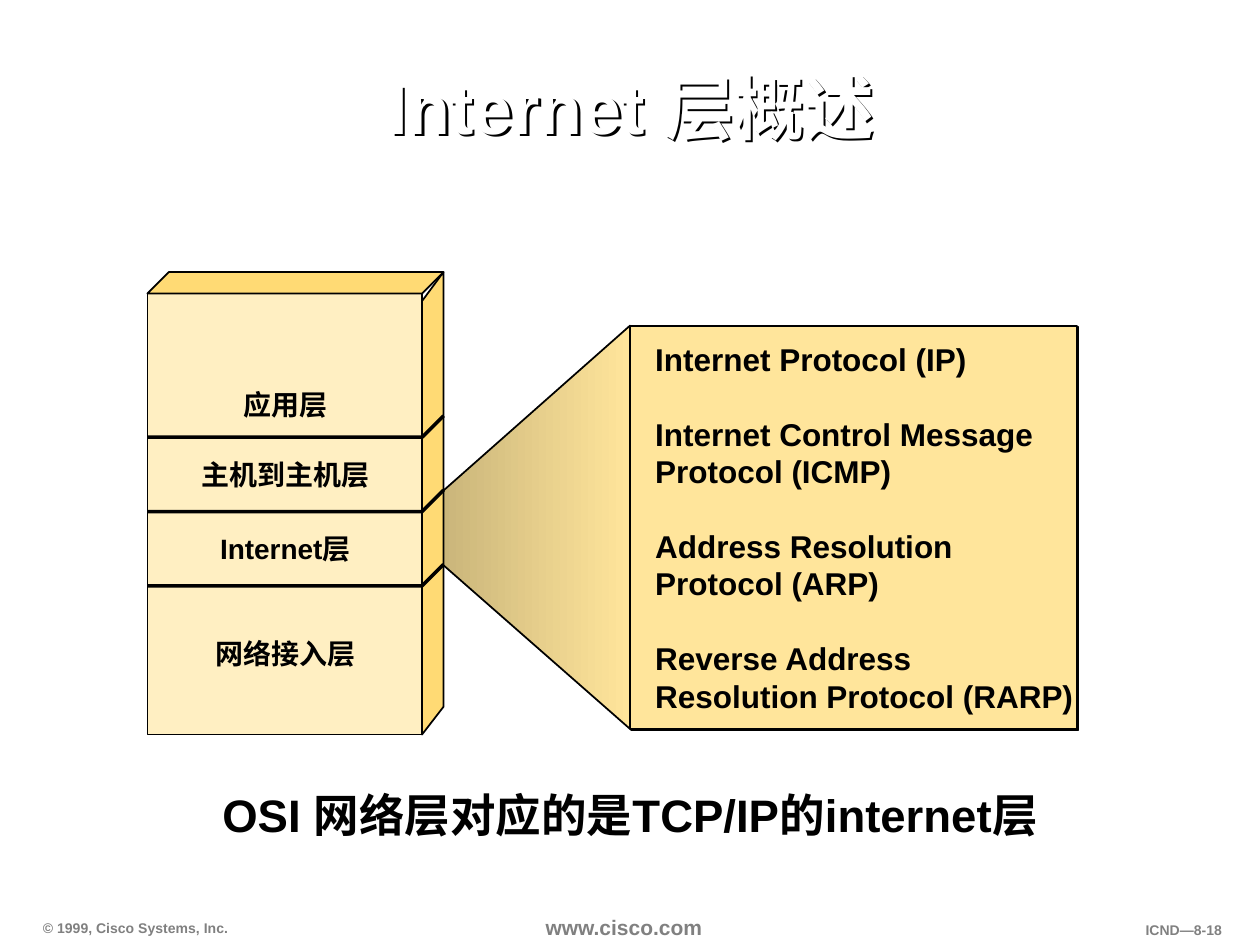
import pptx
import pptx.util
import pptx.dml.color
import pptx.enum.shapes
import pptx.enum.text
from lxml import etree
from dataclasses import dataclass

Align = pptx.enum.text.PP_ALIGN
Anchor = pptx.enum.text.MSO_ANCHOR
DRAWING = "http://schemas.openxmlformats.org/drawingml/2006/main"


@dataclass(frozen=True)
class Theme:
    font: str = "Arial"
    ink: str = "000000"
    white: str = "FFFFFF"
    grey: str = "808080"
    front: str = "FFEFC2"
    side: str = "FFDA74"
    panel: str = "FFE59B"
    funnel_dark: str = "C0AC74"
    title: int = 40
    summary: int = 26
    protocol: int = 18
    layer: int = 16
    site: int = 12
    footer: int = 8
    outline: int = 1
    divider: int = 2


THEME = Theme()

# Content
TITLE = "Internet 层概述"
SUMMARY = "OSI 网络层对应的是TCP/IP的internet层"
LAYERS = [("应用层", 3.05), ("主机到主机层", 3.6), ("Internet层", 4.19), ("网络接入层", 5.02)]
PROTOCOLS = [
    ["Internet Protocol (IP)"],
    ["Internet Control Message", "Protocol (ICMP)"],
    ["Address Resolution", "Protocol (ARP)"],
    ["Reverse Address", "Resolution Protocol (RARP)"],
]
COPYRIGHT = "© 1999, Cisco Systems, Inc."
SITE = "www.cisco.com"
PAGE_CODE = "ICND—8-18"

# Layout in inches
WIDTH, HEIGHT = 10, 7.5
LEFT, RIGHT, TOP, BOTTOM = 1.17, 3.35, 2.33, 5.83
DEPTH = 0.17
FIRST_DIVIDER, ROW = 3.47, 0.59
DIVIDERS = [FIRST_DIVIDER + ROW * i for i in range(len(LAYERS) - 1)]
PANEL = (5, 2.585, 3.55, 3.2)
LINE_PITCH = 21.4

inch = pptx.util.Inches
point = pptx.util.Pt


def color(value):
    return pptx.dml.color.RGBColor.from_string(value)


def add_shadow(shape, distance):
    """Give a solid shadow falling to the lower right, distance in points."""
    properties = shape._element.spPr
    for old in properties.findall(f"{{{DRAWING}}}effectLst"):
        properties.remove(old)
    effects = etree.SubElement(properties, f"{{{DRAWING}}}effectLst")
    shadow = etree.SubElement(effects, f"{{{DRAWING}}}outerShdw", dist=str(point(distance)),
                              dir="2700000", algn="ctr", rotWithShape="0")
    etree.SubElement(shadow, f"{{{DRAWING}}}srgbClr", val=THEME.ink)


def write(box, text, size, ink=THEME.ink, align=Align.LEFT, anchor=Anchor.MIDDLE,
          inset=(0.09, 0.04), wrap=True, spacing=None):
    """Write text, a string or groups of lines set apart by one line."""
    frame = box.text_frame
    frame.word_wrap = wrap
    frame.vertical_anchor = anchor
    frame.margin_left = frame.margin_right = inch(inset[0])
    frame.margin_top = frame.margin_bottom = inch(inset[1])
    groups = [[text]] if isinstance(text, str) else text
    for g, group in enumerate(groups):
        for i, line in enumerate(group):
            para = frame.paragraphs[0] if g == i == 0 else frame.add_paragraph()
            para.alignment = align
            if spacing:
                para.line_spacing = spacing
            if g and i == 0:
                para.space_before = spacing
            span = para.add_run()
            span.text = line
            span.font.name = THEME.font
            span.font.size = point(size)
            span.font.bold = True
            span.font.color.rgb = color(ink)
    return box


def add_text(page, at, text, size, **form):
    return write(page.shapes.add_textbox(*map(inch, at)), text, size, **form)


def paint(shape, fill=None, width=THEME.outline):
    shape.shadow.inherit = False
    if fill:
        shape.fill.solid()
        shape.fill.fore_color.rgb = color(fill)
    else:
        shape.fill.background()
    shape.line.color.rgb = color(THEME.ink)
    shape.line.width = point(width)
    return shape


def add_rectangle(page, at, fill):
    kind = pptx.enum.shapes.MSO_SHAPE.RECTANGLE
    return paint(page.shapes.add_shape(kind, *map(inch, at)), fill)


def add_outline(page, points, close=True, **form):
    start, *rest = [(inch(x), inch(y)) for x, y in points]
    builder = page.shapes.build_freeform(*start)
    builder.add_line_segments(rest, close=close)
    return paint(builder.convert_to_shape(), **form)


def draw_footer(page):
    add_text(page, (0.25, 7.25, 1.68, 0.22), COPYRIGHT, THEME.footer, ink=THEME.grey,
             anchor=Anchor.BOTTOM, wrap=False)
    add_text(page, (4.25, 7.22, 1.5, 0.28), SITE, THEME.site, ink=THEME.grey,
             anchor=Anchor.TOP, inset=(0.08, 0.04))
    add_text(page, (8.59, 7.27, 1.2, 0.22), PAGE_CODE, THEME.footer, ink=THEME.grey,
             align=Align.RIGHT, anchor=Anchor.TOP, wrap=False)


def draw_headings(page):
    title = add_text(page, (0.84, 0.26, 8.34, 1.25), TITLE, THEME.title, ink=THEME.white,
                     align=Align.CENTER, spacing=0.9)
    add_shadow(title, 2)
    add_text(page, (0.5, 5.87, 9, 1.22), SUMMARY, THEME.summary,
             align=Align.CENTER, spacing=0.95)


def draw_protocols(page):
    x, y, _, height = PANEL
    funnel = add_outline(page, [(3.23, 4.15), (x, y), (x, y + height), (3.41, 4.39)],
                         close=False)
    funnel.fill.gradient()
    funnel.fill.gradient_angle = 180
    for stop, place, value in zip(funnel.fill.gradient_stops, (0, 1),
                                  (THEME.panel, THEME.funnel_dark)):
        stop.position = place
        stop.color.rgb = color(value)
    panel = add_rectangle(page, PANEL, THEME.panel)
    add_shadow(panel, 1)
    write(panel, PROTOCOLS, THEME.protocol, inset=(0.2, 0.1), wrap=False,
          spacing=point(LINE_PITCH))


def draw_stack(page):
    back = RIGHT + DEPTH
    # Side, front and top of the block
    add_outline(page, [(back, TOP - DEPTH), (RIGHT, TOP + 0.06), (RIGHT, BOTTOM),
                       (back, 5.61)], fill=THEME.side)
    add_rectangle(page, (LEFT, TOP, RIGHT - LEFT, BOTTOM - TOP), THEME.front)
    for name, y in LAYERS:
        add_text(page, (1.55, y, 1.43, 0.35), name, THEME.layer, align=Align.CENTER,
                 inset=(0, 0), wrap=False, spacing=0.95)
    add_outline(page, [(LEFT, TOP), (LEFT + DEPTH, TOP - DEPTH), (back, TOP - DEPTH),
                       (RIGHT, TOP)], fill=THEME.side)
    for y in DIVIDERS:
        add_outline(page, [(LEFT, y), (RIGHT, y), (back, y - DEPTH)], close=False,
                    width=THEME.divider)


def main():
    deck = pptx.Presentation()
    deck.slide_width, deck.slide_height = inch(WIDTH), inch(HEIGHT)
    page = deck.slides.add_slide(deck.slide_layouts[6])
    draw_footer(page)
    draw_headings(page)
    draw_protocols(page)
    draw_stack(page)
    deck.save("out.pptx")


if __name__ == "__main__":
    main()
